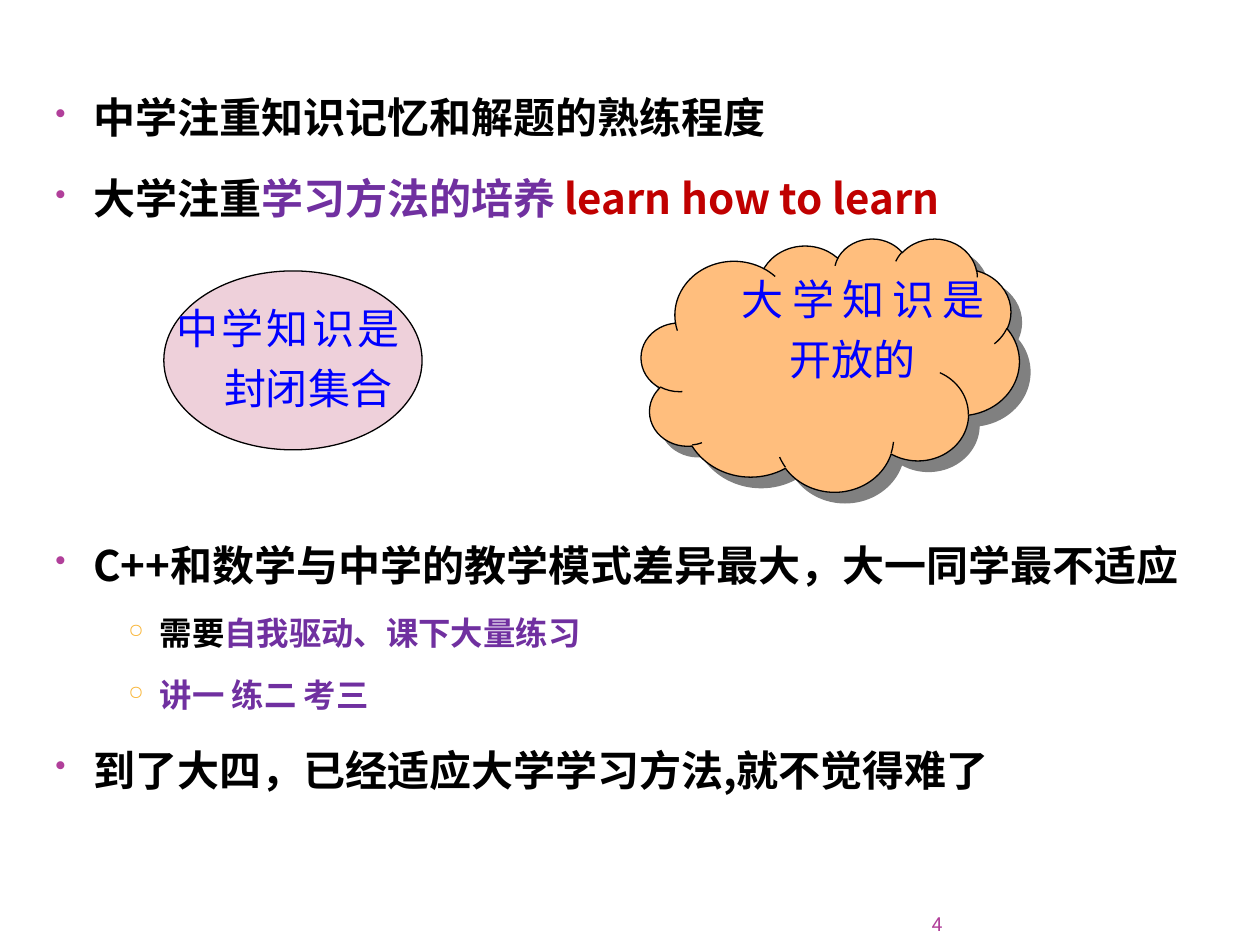
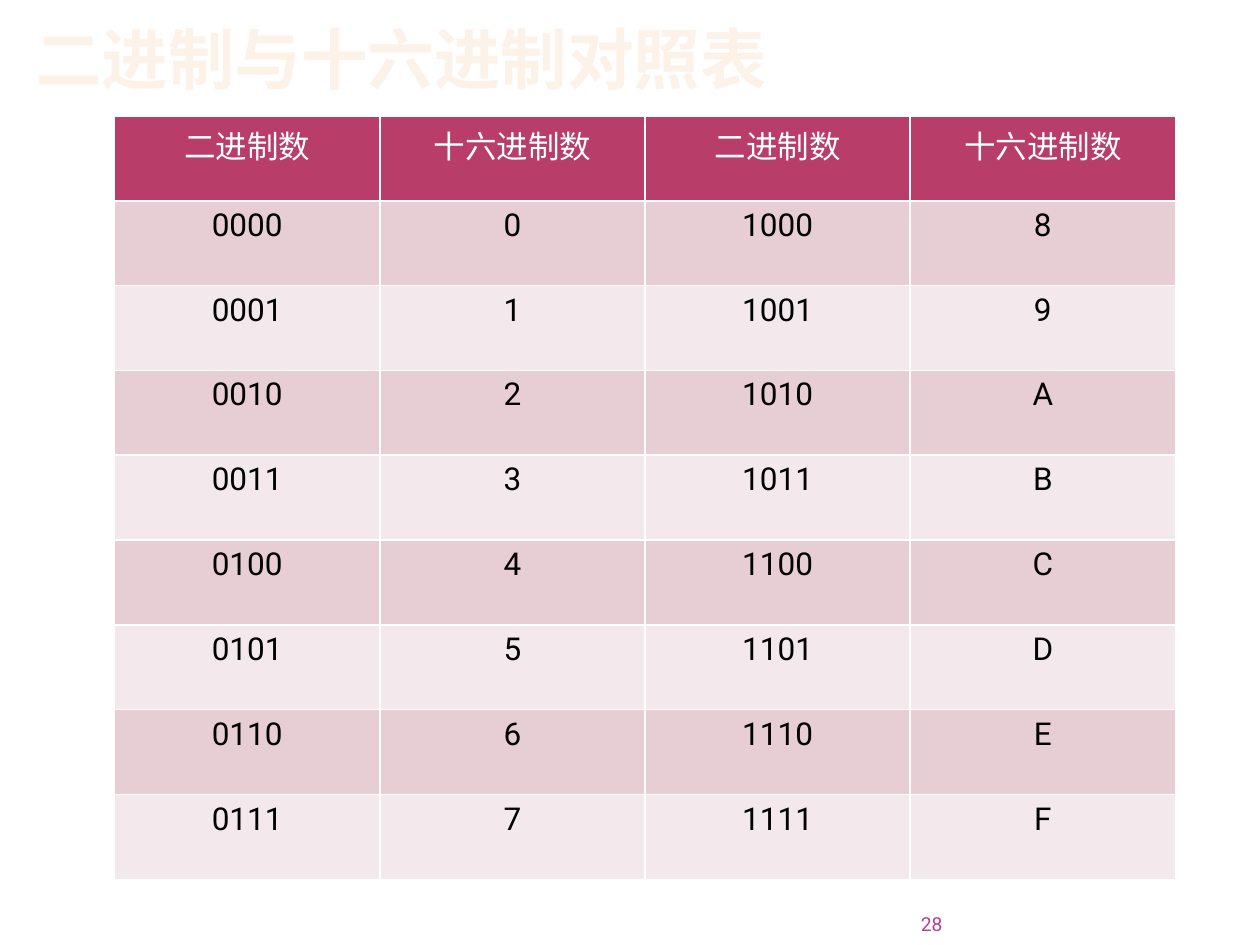
from dataclasses import dataclass

from lxml.etree import SubElement
from pptx import Presentation
from pptx.dml.color import RGBColor
from pptx.enum.shapes import MSO_SHAPE
from pptx.enum.text import MSO_ANCHOR, PP_ALIGN
from pptx.oxml.ns import qn
from pptx.util import Inches, Pt


@dataclass(frozen=True)
class Theme:
    latin: str = "Roboto"
    chinese: str = "Noto Sans CJK SC"
    black: str = "000000"
    white: str = "FFFFFF"
    purple: str = "7030A0"
    red: str = "C00000"
    blue: str = "0000FF"
    magenta: str = "B13F9A"
    amber: str = "F9B639"
    rose: str = "B83D68"
    orange: str = "FFBE7D"
    grey: str = "808080"
    title_tint: str = "FDF2E8"
    bands: tuple = ("E6CED4", "F3E8EB")
    title_size: float = 38
    point_size: float = 24
    detail_size: float = 18.5
    label_size: float = 24
    table_size: float = 18
    number_size: float = 11


theme = Theme()


def format_span(span, size, color, latin=theme.chinese, bold=False):
    span.font.size = Pt(size)
    span.font.bold = bold
    span.font.color.rgb = RGBColor.from_string(color)
    span.font.name = latin
    SubElement(span.font._element, qn("a:ea"), typeface=theme.chinese)


def add_text(page, place, text, size, color, align=PP_ALIGN.LEFT, **style):
    box = page.shapes.add_textbox(*map(Inches, place))
    box.text_frame.word_wrap = True
    box.text_frame.text = text
    para = box.text_frame.paragraphs[0]
    para.alignment = align
    if text:
        format_span(para.runs[0], size, color, **style)
    return box


deck = Presentation()
deck.slide_width = Inches(10)
deck.slide_height = Inches(7.5)
pages = []
for number in ("4", "28"):
    page = deck.slides.add_slide(deck.slide_layouts[6])
    box = add_text(page, (6.84, 7.17, 0.64, 0.25), number, theme.number_size,
                   theme.magenta, PP_ALIGN.RIGHT, latin=theme.latin)
    frame = box.text_frame
    frame.margin_left = frame.margin_right = frame.margin_top = frame.margin_bottom = 0
    frame.vertical_anchor = MSO_ANCHOR.BOTTOM
    pages.append(page)
learning_page, table_page = pages

levels = {
    "point": (theme.point_size, 0.3, 0.3, "•", theme.magenta, 73),
    "detail": (theme.detail_size, 0.83, 0.25, "○", theme.amber, 60),
}
points = [
    ("point", 0, [("中学注重知识记忆和解题的熟练程度", theme.black)]),
    ("point", 6, [("大学注重", theme.black), ("学习方法的培养 ", theme.purple),
                  ("learn how to learn", theme.red)]),
    ("point", 169, [("C++和数学与中学的教学模式差异最大，大一同学最不适应", theme.black)]),
    ("detail", 4.4, [("需要", theme.black), ("自我驱动、课下大量练习", theme.purple)]),
    ("detail", 4.4, [("讲一 练二 考三", theme.purple)]),
    ("point", 6, [("到了大四，已经适应大学学习方法,就不觉得难了", theme.black)]),
]
box = add_text(learning_page, (0.34, 0.52, 9.25, 6.14), "", theme.point_size, theme.black)
for index, (level, space, spans) in enumerate(points):
    size, margin, hang, mark, mark_color, mark_percent = levels[level]
    para = box.text_frame.paragraphs[0] if index == 0 else box.text_frame.add_paragraph()
    properties = para._p.get_or_add_pPr()
    properties.set("marL", str(Inches(margin)))
    properties.set("indent", str(-Inches(hang)))
    SubElement(SubElement(properties, qn("a:buClr")), qn("a:srgbClr"), val=mark_color)
    SubElement(properties, qn("a:buSzPct"), val=str(mark_percent * 1000))
    SubElement(properties, qn("a:buChar"), char=mark)
    para.line_spacing = 1.4
    para.space_before = Pt(space)
    for text, color in spans:
        span = para.add_run()
        span.text = text
        format_span(span, size, color, bold=True)

outlines = []
for preset, place, color in (
    (MSO_SHAPE.CLOUD, (5.09, 1.89, 3, 2.01), theme.orange),
    (MSO_SHAPE.OVAL, (1.3, 2.15, 2.05, 1.42), theme.rose),
):
    shape = learning_page.shapes.add_shape(preset, *map(Inches, place))
    shape.shadow.inherit = False
    shape.fill.solid()
    shape.fill.fore_color.rgb = RGBColor.from_string(color)
    shape.line.color.rgb = RGBColor.from_string(theme.black)
    shape.line.width = Pt(0.75)
    outlines.append(shape)
cloud, ellipse = outlines
effects = cloud._element.spPr.find(qn("a:effectLst"))
shadow = SubElement(effects, qn("a:outerShdw"), dist=str(Pt(8.5)), dir="2700000",
                    algn="ctr", rotWithShape="0")
SubElement(shadow, qn("a:srgbClr"), val=theme.grey)
tint = ellipse._element.spPr.find(qn("a:solidFill")).find(qn("a:srgbClr"))
SubElement(tint, qn("a:alpha"), val="24000")

for place, label in (
    ((1.3, 2.27, 1.97, 1.06), "中学知识是封闭集合"),
    ((5.79, 2.04, 2.12, 1.06), "大学知识是开放的"),
):
    box = add_text(learning_page, place, label, theme.label_size, theme.blue, PP_ALIGN.JUSTIFY)
    para = box.text_frame.paragraphs[0]
    para.line_spacing = 1.2
    properties = para._p.get_or_add_pPr()
    properties.set("marL", str(Inches(0.38)))
    properties.set("indent", str(-Inches(0.38)))

add_text(table_page, (0.18, 0.09, 9, 0.85), "二进制与十六进制对照表",
         theme.title_size, theme.title_tint, bold=True)
rows = [("二进制数", "十六进制数") * 2]
for low in range(8):
    high = low + 8
    rows.append((f"{low:04b}", f"{low:X}", f"{high:04b}", f"{high:X}"))
table = table_page.shapes.add_table(
    len(rows), 4, Inches(0.91), Inches(0.92), Inches(8.42), Inches(6.06)).table
for row_index, row in enumerate(rows):
    header = row_index == 0
    fill = theme.rose if header else theme.bands[(row_index - 1) % 2]
    for column_index, text in enumerate(row):
        cell = table.cell(row_index, column_index)
        properties = cell._tc.get_or_add_tcPr()
        for side in ("lnL", "lnR", "lnT", "lnB"):
            border = SubElement(properties, qn(f"a:{side}"), w=str(Pt(1)))
            SubElement(SubElement(border, qn("a:solidFill")), qn("a:srgbClr"), val=theme.white)
        cell.fill.solid()
        cell.fill.fore_color.rgb = RGBColor.from_string(fill)
        cell.text_frame.text = text
        para = cell.text_frame.paragraphs[0]
        para.alignment = PP_ALIGN.CENTER
        format_span(para.runs[0], theme.table_size,
                    theme.white if header else theme.black, latin=theme.latin)

deck.save("out.pptx")
